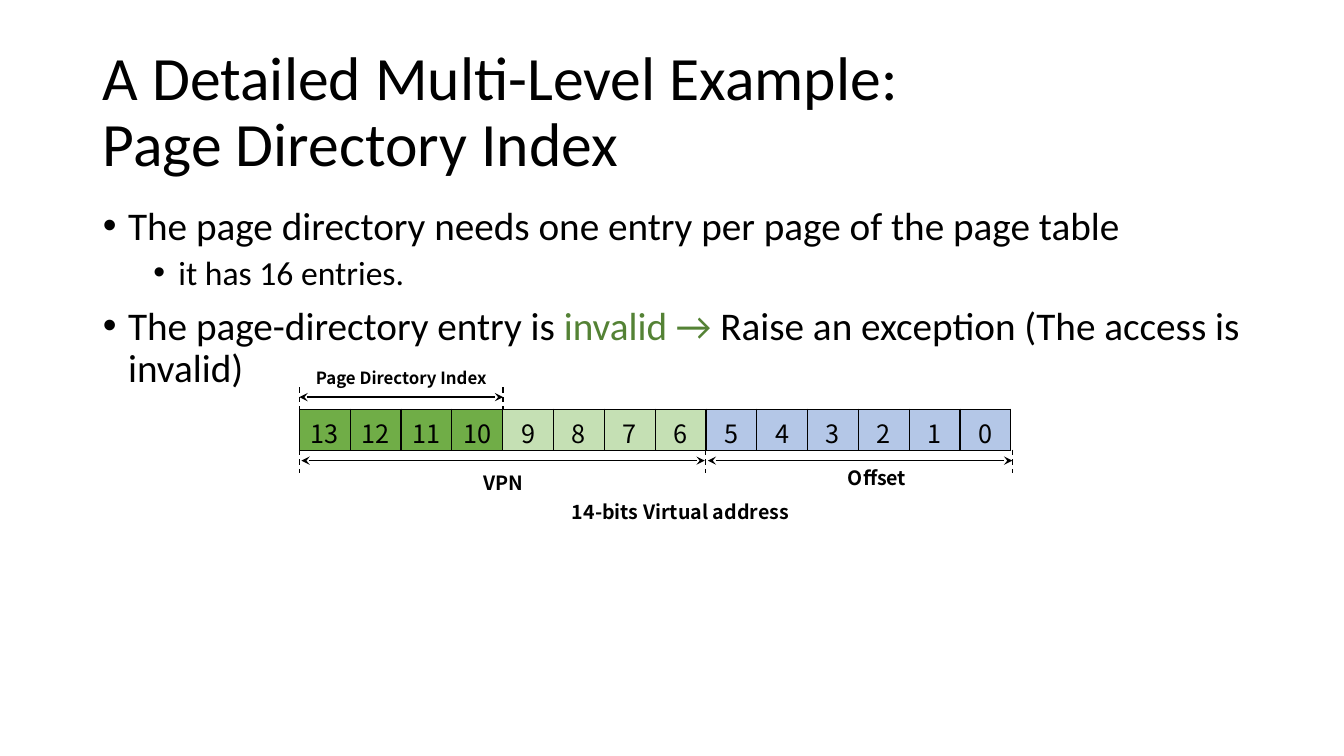
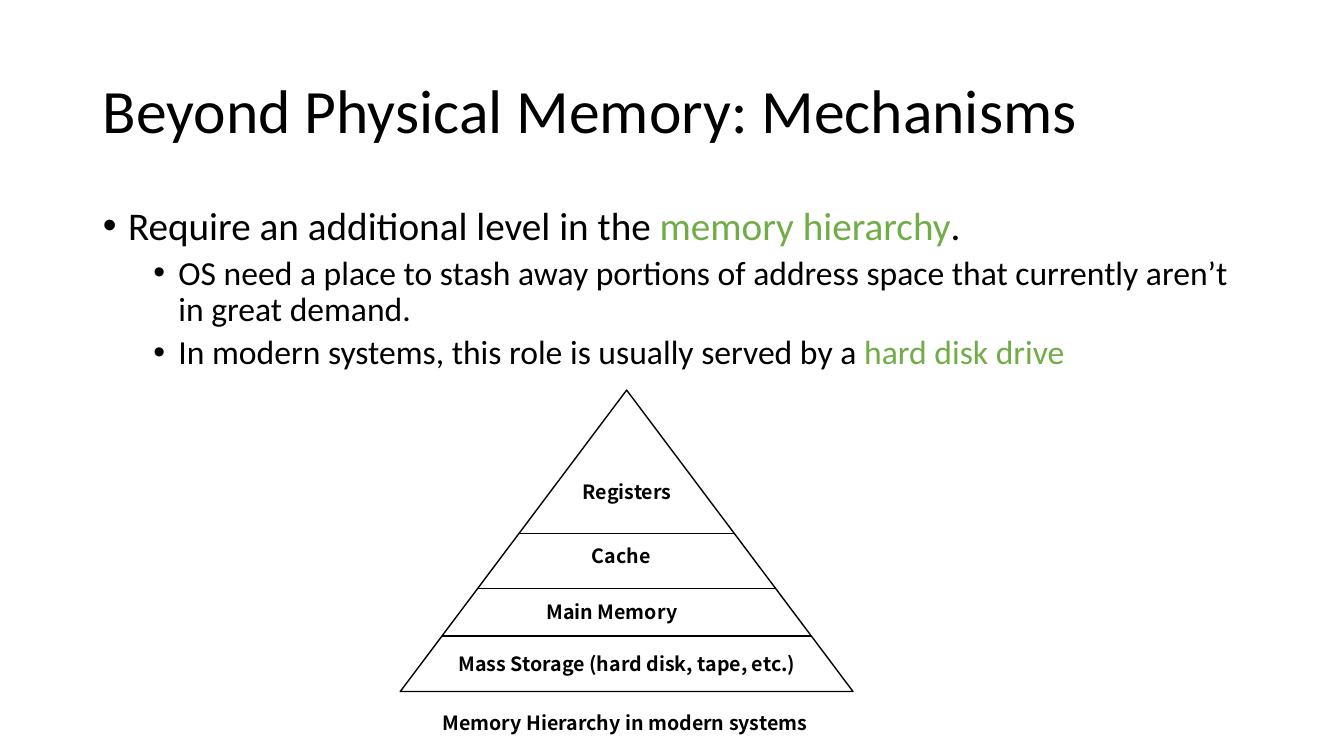
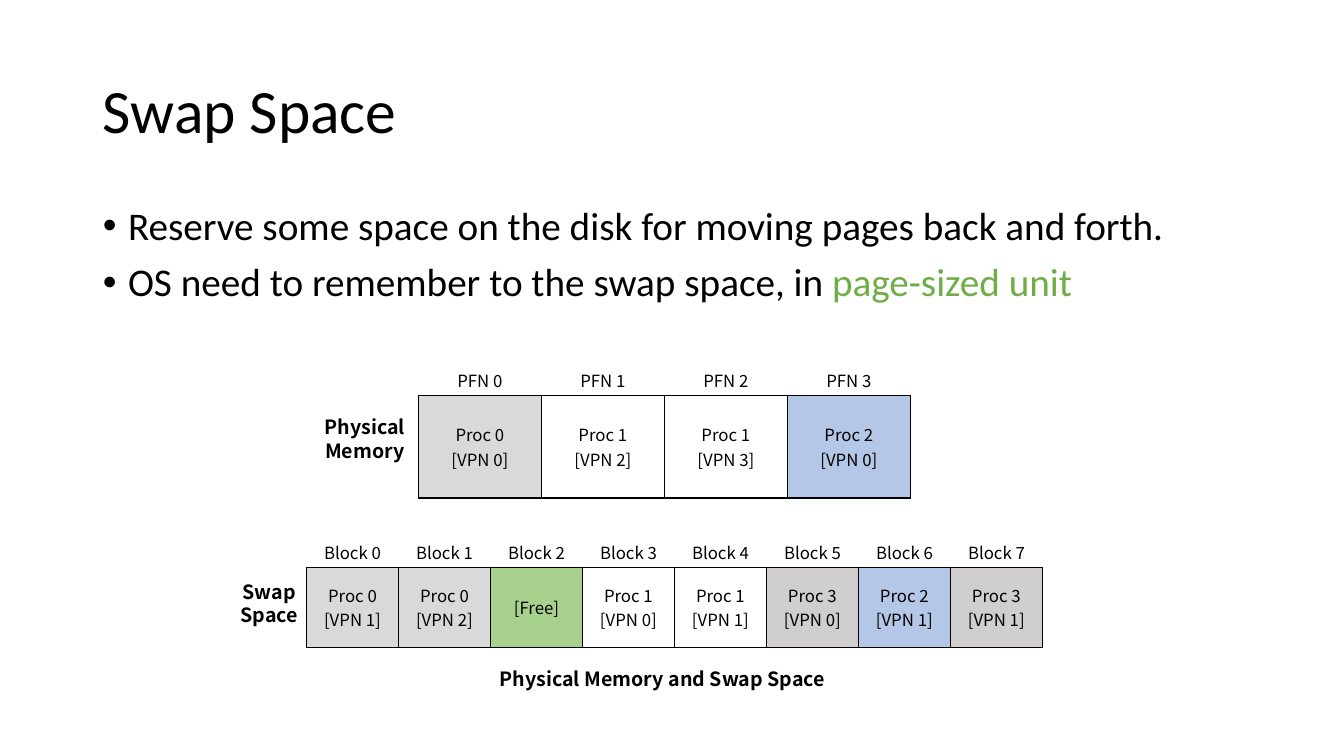
from dataclasses import dataclass

import pptx
import pptx.dml.color
import pptx.enum.dml
import pptx.enum.shapes
import pptx.enum.text
import pptx.oxml
import pptx.oxml.ns
import pptx.util
from lxml import etree

Inches = pptx.util.Inches
Pt = pptx.util.Pt
Align = pptx.enum.text.PP_ALIGN
Anchor = pptx.enum.text.MSO_ANCHOR
qn = pptx.oxml.ns.qn


@dataclass(frozen=True)
class Theme:
    # Fonts and type sizes
    main_font: str = "Calibri"
    figure_font: str = "Noto Sans CJK KR"
    title_size: int = 44
    body_sizes: tuple = (28, 24)
    bit_size: int = 18
    label_size: int = 14
    small_size: int = 12
    # Colours
    black: str = "000000"
    white: str = "FFFFFF"
    green: str = "70AD47"
    dark_green: str = "548235"
    mid_green: str = "A9D18E"
    pale_green: str = "C5E0B4"
    blue: str = "B4C7E7"
    light_gray: str = "D9D9D9"
    warm_gray: str = "D0CECE"
    # Lines and list spacing
    line_width: float = 1
    line_spacing: float = 0.9
    space_before: tuple = (10, 5)
    indents: tuple = (0.25, 0.75)
    hanging: float = 0.25


THEME = Theme()


def rgb(color):
    return pptx.dml.color.RGBColor.from_string(color)


def add_text(paragraph, text, *, size, font=THEME.figure_font, color=THEME.black, bold=False):
    run = paragraph.add_run()
    run.text = text
    run.font.name = font
    run.font.size = Pt(size)
    run.font.bold = bold
    run.font.color.rgb = rgb(color)


def fill_frame(frame, text, **text_format):
    """Write one centred paragraph for each line of text."""
    for index, line in enumerate(text.split("\n")):
        paragraph = frame.add_paragraph() if index else frame.paragraphs[0]
        paragraph.alignment = Align.CENTER
        add_text(paragraph, line, **text_format)


class Deck:
    def __init__(self, theme):
        self.theme = theme
        self.presentation = pptx.Presentation()
        self.presentation.slide_width = Inches(13.33)
        self.presentation.slide_height = Inches(7.5)
        self.slide = None

    def place(self, shape, left, top, width, height):
        shape.left, shape.top = Inches(left), Inches(top)
        shape.width, shape.height = Inches(width), Inches(height)

    def add_slide(self, title, items):
        """Start a slide; items are (level, [(text, colour), ...])."""
        self.slide = self.presentation.slides.add_slide(self.presentation.slide_layouts[1])
        self.title(title)
        self.body(items)

    def title(self, text):
        shape = self.slide.shapes.title
        self.place(shape, 0.92, 0.4, 11.5, 1.45)
        frame = shape.text_frame
        frame.auto_size = pptx.enum.text.MSO_AUTO_SIZE.NONE
        frame.vertical_anchor = Anchor.MIDDLE
        paragraph = frame.paragraphs[0]
        paragraph.alignment = Align.LEFT
        paragraph.line_spacing = self.theme.line_spacing
        for index, line in enumerate(text.split("\n")):
            if index:
                paragraph.add_line_break()
            add_text(paragraph, line, size=self.theme.title_size, font=self.theme.main_font)

    def body(self, items):
        theme = self.theme
        shape = self.slide.placeholders[1]
        self.place(shape, 0.92, 2, 11.5, 4.76)
        frame = shape.text_frame
        frame.auto_size = pptx.enum.text.MSO_AUTO_SIZE.NONE
        for index, (level, runs) in enumerate(items):
            paragraph = frame.add_paragraph() if index else frame.paragraphs[0]
            paragraph.level = level
            properties = paragraph._p.get_or_add_pPr()
            properties.set("marL", str(Inches(theme.indents[level])))
            properties.set("indent", str(Inches(-theme.hanging)))
            etree.SubElement(properties, qn("a:buFont")).set("typeface", "Arial")
            etree.SubElement(properties, qn("a:buChar")).set("char", "•")
            paragraph.line_spacing = theme.line_spacing
            paragraph.space_before = Pt(theme.space_before[level] if index else 0)
            for text, color in runs:
                add_text(paragraph, text, size=theme.body_sizes[level],
                         font=theme.main_font, color=color)

    def label(self, text, center, top, width=4.47, size=THEME.label_size, bold=True):
        height = round(0.1 + (text.count("\n") + 1) * size * 1.2 / 72, 2)
        shape = self.slide.shapes.add_textbox(
            Inches(center - width / 2), Inches(top), Inches(width), Inches(height))
        shape.text_frame.word_wrap = True
        fill_frame(shape.text_frame, text, size=size, bold=bold)

    def line(self, start, end, dashed=False, arrows=False):
        connector = self.slide.shapes.add_connector(
            pptx.enum.shapes.MSO_CONNECTOR.STRAIGHT,
            *(Inches(value) for value in (*start, *end)))
        connector.line.color.rgb = rgb(self.theme.black)
        connector.line.width = Pt(self.theme.line_width)
        if dashed:
            connector.line.dash_style = pptx.enum.dml.MSO_LINE.DASH
        if arrows:
            outline = connector.line._get_or_add_ln()
            for name in ("a:headEnd", "a:tailEnd"):
                etree.SubElement(outline, qn(name)).set("type", "stealth")
        etree.SubElement(connector._element.spPr, qn("a:effectLst"))

    def triangle(self, left, top, width, height):
        shape = self.slide.shapes.add_shape(
            pptx.enum.shapes.MSO_SHAPE.ISOSCELES_TRIANGLE,
            Inches(left), Inches(top), Inches(width), Inches(height))
        shape.shadow.inherit = False
        shape.fill.solid()
        shape.fill.fore_color.rgb = rgb(self.theme.white)
        shape.line.color.rgb = rgb(self.theme.black)
        shape.line.width = Pt(self.theme.line_width)

    def cell_row(self, left, top, width, height, cells, size, anchor=Anchor.MIDDLE):
        """Draw a one-row table; cells are (text, fill)."""
        table = self.slide.shapes.add_table(
            1, len(cells), Inches(left), Inches(top), Inches(width), Inches(height)).table
        table.first_row = table.horz_banding = False
        for index, (text, fill) in enumerate(cells):
            table.columns[index].width = Inches(width / len(cells))
            cell = table.cell(0, index)
            cell.vertical_anchor = anchor
            cell.margin_left = cell.margin_right = cell.margin_bottom = 0
            cell.margin_top = Inches(0.05) if anchor == Anchor.TOP else 0
            cell.fill.solid()
            cell.fill.fore_color.rgb = rgb(fill)
            fill_frame(cell.text_frame, text, size=size)
            self.cell_borders(cell)

    def cell_borders(self, cell):
        properties = cell._tc.get_or_add_tcPr()
        for position, side in enumerate(("lnL", "lnR", "lnT", "lnB")):
            border = pptx.oxml.parse_xml(
                f'<a:{side} xmlns:a="{pptx.oxml.ns.nsdecls("a").split(chr(34))[1]}" '
                f'w="{Pt(self.theme.line_width)}"><a:solidFill>'
                f'<a:srgbClr val="{self.theme.black}"/></a:solidFill></a:{side}>')
            properties.insert(position, border)

    def memory_row(self, name, name_center, name_top, prefix, left, top, width, height, cells):
        """Draw a named row of memory cells with a numbered label above each."""
        size = self.theme.small_size
        self.cell_row(left, top, width, height, cells, size)
        self.label(name, name_center, name_top, width=1.77)
        step = width / len(cells)
        for index in range(len(cells)):
            self.label(f"{prefix} {index}", left + (index + 0.5) * step, round(top - 0.29, 2),
                       width=1.77, size=size, bold=False)


def page_directory_slide(deck):
    theme = deck.theme
    deck.add_slide("A Detailed Multi-Level Example: \nPage Directory Index", [
        (0, [("The page directory needs one entry per page of the page table", theme.black)]),
        (1, [("it has 16 entries.", theme.black)]),
        (0, [("The page-directory entry is ", theme.black),
             ("invalid → ", theme.dark_green),
             ("Raise an exception (The access is invalid)", theme.black)]),
    ])

    # Address bits, highest first
    fills = [theme.green] * 4 + [theme.pale_green] * 4 + [theme.blue] * 6
    bits = [(str(13 - index), fill) for index, fill in enumerate(fills)]
    deck.cell_row(2.97, 4.06, 7.06, 0.4, bits, theme.bit_size, Anchor.TOP)

    # Field limits and spans
    for x, top in ((2.97, 4.46), (7, 4.46), (10.04, 4.46), (2.97, 3.84), (4.99, 3.84)):
        deck.line((x, top), (x, top + 0.23), dashed=True)
    for left, right, y in ((2.99, 6.99, 4.57), (7.02, 10.04, 4.57), (2.97, 4.99, 3.94)):
        deck.line((left, y), (right, y), arrows=True)

    # Field names
    deck.label("Page Directory Index", 3.98, 3.6, width=2.1, size=theme.small_size)
    deck.label("VPN", 4.99, 4.62, width=1)
    deck.label("Offset", 8.7, 4.57, width=1)
    deck.label("14-bits Virtual address", 6.75, 4.91)


def memory_hierarchy_slide(deck):
    theme = deck.theme
    deck.add_slide("Beyond Physical Memory: Mechanisms", [
        (0, [("Require an additional level in the ", theme.black),
             ("memory hierarchy", theme.green), (".", theme.black)]),
        (1, [("OS need a place to stash away portions of address space that currently "
              "aren’t in great demand.", theme.black)]),
        (1, [("In modern systems, this role is usually served by a ", theme.black),
             ("hard disk drive", theme.green)]),
    ])

    # Pyramid, with dividers that reach its sloping sides
    left, top, width, height = 3.97, 3.87, 4.49, 2.99
    deck.triangle(left, top, width, height)
    middle = left + width / 2
    for y in (5.29, 5.84, 6.31):
        half = width / 2 * (y - top) / height
        deck.line((middle - half, y), (middle + half, y))

    # Level names and caption
    for text, center, label_top in (
            ("Registers", 6.22, 4.71),
            ("Cache", 6.16, 5.35),
            ("Main Memory", 6.07, 5.9),
            ("Mass Storage (hard disk, tape, etc.)", 6.22, 6.42),
            ("Memory Hierarchy in modern systems", 6.2, 7)):
        deck.label(text, center, label_top)


def swap_space_slide(deck):
    theme = deck.theme
    deck.add_slide("Swap Space", [
        (0, [("Reserve some space on the disk for moving pages back and forth.", theme.black)]),
        (0, [("OS need to remember to the swap space, in ", theme.black),
             ("page-sized unit", theme.green)]),
    ])

    # Each process has its own colour
    process_fills = (theme.light_gray, theme.white, theme.blue, theme.warm_gray)

    def page(process, number):
        return f"Proc {process}\n[VPN {number}]", process_fills[process]

    deck.memory_row("Physical\nMemory", 3.62, 4.07, "PFN", 4.15, 3.92, 4.88, 1.02,
                    [page(0, 0), page(1, 2), page(1, 3), page(2, 0)])
    deck.memory_row("Swap\nSpace", 2.67, 5.7, "Block", 3.04, 5.63, 7.3, 0.79,
                    [page(0, 1), page(0, 2), ("[Free]", theme.mid_green), page(1, 0),
                     page(1, 1), page(3, 0), page(2, 1), page(3, 1)])
    deck.label("Physical Memory and Swap Space", 6.57, 6.57)


def main():
    deck = Deck(THEME)
    page_directory_slide(deck)
    memory_hierarchy_slide(deck)
    swap_space_slide(deck)
    deck.presentation.save("out.pptx")


if __name__ == "__main__":
    main()
